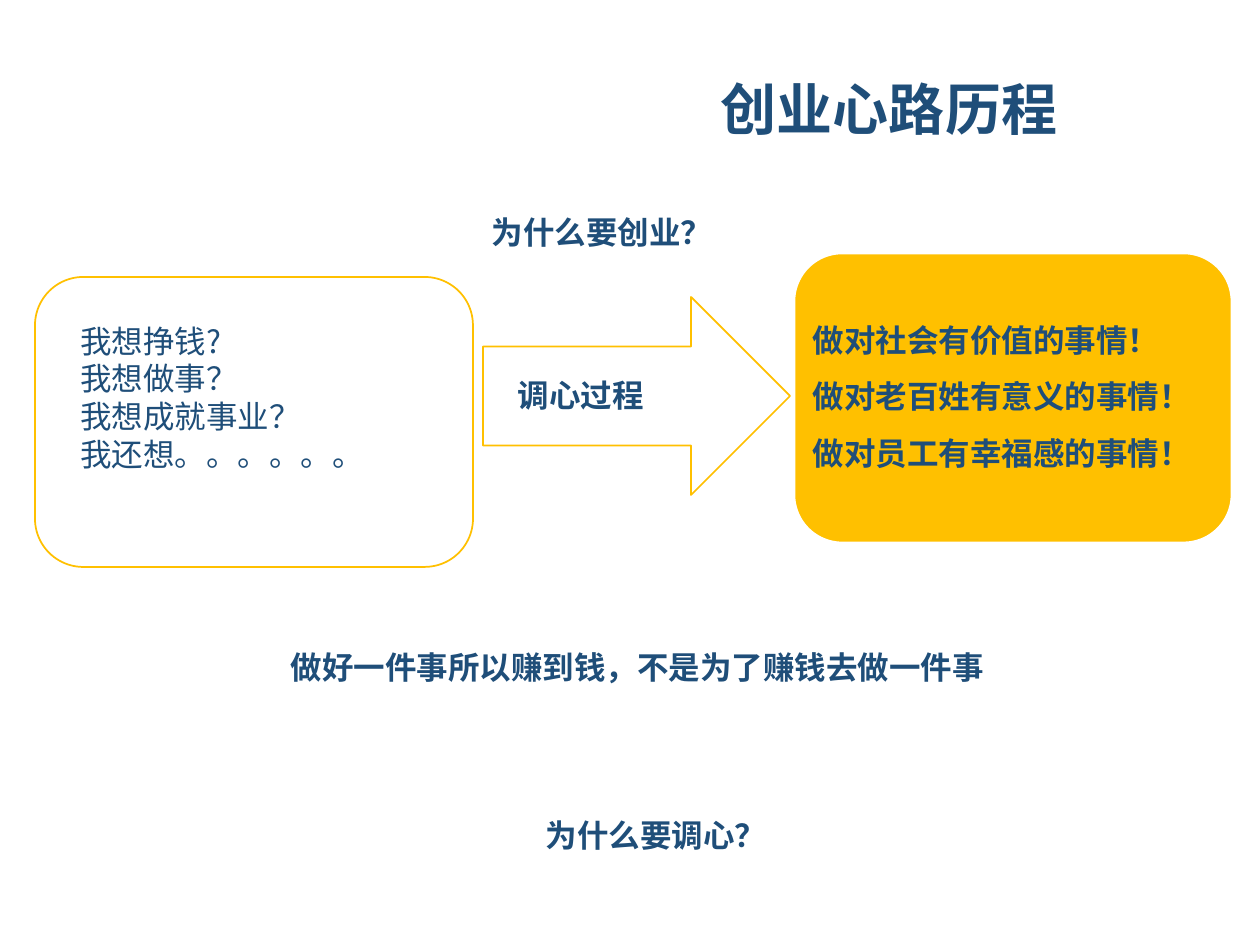
import pptx
import pptx.dml.color
import pptx.enum.shapes
import pptx.enum.text
import pptx.oxml.ns
import pptx.util
from dataclasses import dataclass
from lxml import etree


@dataclass(frozen=True)
class Theme:
    navy: str = "1F4E79"
    gold: str = "FFC000"
    white: str = "FFFFFF"
    title_font: str = "Arial"
    body_font: str = "Noto Sans CJK SC"
    title_size: int = 32
    body_size: int = 18
    title_pitch: float = 38
    body_pitch: float = 21.5


theme = Theme()
PX = 914400 / 126  # EMU in one px
ROUNDED = pptx.enum.shapes.MSO_SHAPE.ROUNDED_RECTANGLE
ARROW = pptx.enum.shapes.MSO_SHAPE.RIGHT_ARROW


def px(*lengths):
    return [pptx.util.Emu(round(length * PX)) for length in lengths]


def write(box, lines, bold=True, font=theme.body_font, size=theme.body_size,
          pitch=theme.body_pitch):
    frame = box.text_frame
    frame.word_wrap = True
    frame.auto_size = pptx.enum.text.MSO_AUTO_SIZE.NONE
    frame.vertical_anchor = pptx.enum.text.MSO_ANCHOR.TOP
    frame.margin_left, frame.margin_right, frame.margin_top, frame.margin_bottom = px(13, 13, 8, 4)
    for index, line in enumerate(lines):
        paragraph = frame.add_paragraph() if index else frame.paragraphs[0]
        paragraph.alignment = pptx.enum.text.PP_ALIGN.LEFT
        paragraph.line_spacing = pptx.util.Pt(pitch)
        paragraph.space_before = pptx.util.Pt(0)
        run = paragraph.add_run()
        run.text = line
        run.font.name = font
        run.font.size = pptx.util.Pt(size)
        run.font.bold = bold
        run.font.color.rgb = pptx.dml.color.RGBColor.from_string(theme.navy)
        east_asian = etree.SubElement(run.font._element, pptx.oxml.ns.qn("a:ea"))
        east_asian.set("typeface", theme.body_font)


deck = pptx.Presentation()
deck.slide_width, deck.slide_height = px(1260, 945)
slide = deck.slides.add_slide(deck.slide_layouts[5])

# Title
title = slide.shapes.title
title.left, title.top, title.width, title.height = px(708, 67, 396, 81)
write(title, ["创业心路历程"], font=theme.title_font,
      size=theme.title_size, pitch=theme.title_pitch)

# Motives, mindset arrow and values: outline shapes
for preset, place, fill, line, weight in [
    (ROUNDED, (794, 253, 438, 290), theme.gold, theme.white, 1.5),
    (ARROW, (483, 297, 307, 198), None, theme.gold, 1),
    (ROUNDED, (35, 277, 438, 290), None, theme.gold, 1),
]:
    panel = slide.shapes.add_shape(preset, *px(*place))
    panel.shadow.inherit = False
    if fill:
        panel.fill.solid()
        panel.fill.fore_color.rgb = pptx.dml.color.RGBColor.from_string(fill)
    else:
        panel.fill.background()
    panel.line.color.rgb = pptx.dml.color.RGBColor.from_string(line)
    panel.line.width = pptx.util.Pt(weight)

# Questions, conclusion and the words on the shapes
for place, lines, bold, pitch in [
    ((479, 205, 289, 50), ["为什么要创业？"], True, theme.body_pitch),
    ((800, 294, 457, 184),
     ["做对社会有价值的事情！", "做对老百姓有意义的事情！", "做对员工有幸福感的事情！"],
     True, theme.body_pitch * 1.5),
    ((505, 368, 243, 45), ["调心过程"], True, theme.body_pitch),
    ((278, 640, 726, 50), ["做好一件事所以赚到钱，不是为了赚钱去做一件事"], True, theme.body_pitch),
    ((67, 314, 311, 165),
     ["我想挣钱?", "我想做事？", "我想成就事业？", "我还想。。。。。。"],
     False, theme.body_pitch),
    ((533, 808, 427, 50), ["为什么要调心？"], True, theme.body_pitch),
]:
    write(slide.shapes.add_textbox(*px(*place)), lines, bold, pitch=pitch)

deck.save("out.pptx")
